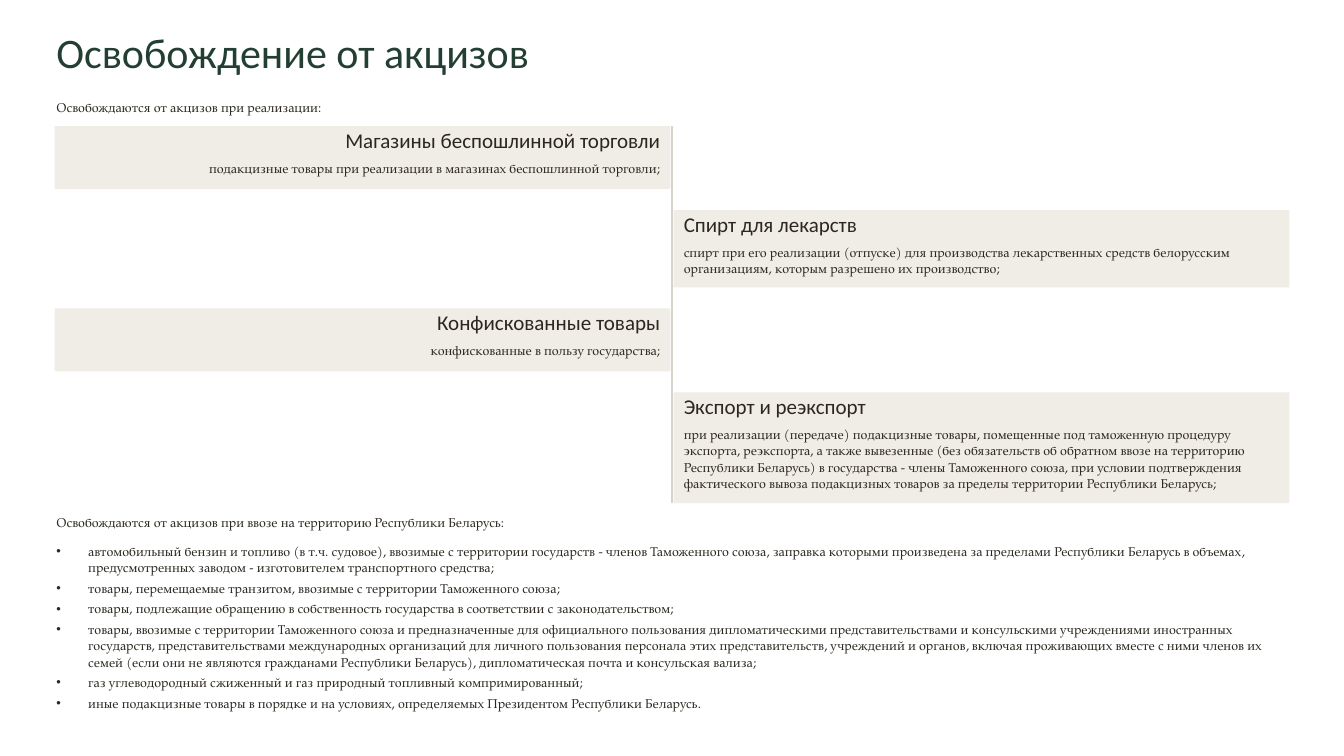
from lxml.etree import SubElement
from pptx import Presentation
from pptx.dml.color import RGBColor
from pptx.enum.shapes import MSO_SHAPE
from pptx.enum.text import MSO_ANCHOR, MSO_AUTO_SIZE, PP_ALIGN
from pptx.oxml.ns import qn
from pptx.util import Inches, Pt

GREEN = RGBColor(0x23, 0x3E, 0x32)
INK = RGBColor(0x2C, 0x28, 0x21)
SAND = RGBColor(0xF0, 0xED, 0xE6)
GREY = RGBColor(0xD6, 0xD3, 0xCC)
HEAD, BODY = "Calibri", "TeX Gyre Pagella"

TITLE = "Освобождение от акцизов"
SALES = "Освобождаются от акцизов при реализации:"
IMPORTS = "Освобождаются от акцизов при ввозе на территорию Республики Беларусь:"
CARDS = [
    ("Магазины беспошлинной торговли",
     "подакцизные товары при реализации в магазинах беспошлинной торговли;", 0.75),
    ("Спирт для лекарств",
     "спирт при его реализации (отпуске) для производства лекарственных средств "
     "белорусским организациям, которым разрешено их производство;", 0.92),
    ("Конфискованные товары", "конфискованные в пользу государства;", 0.75),
    ("Экспорт и реэкспорт",
     "при реализации (передаче) подакцизные товары, помещенные под таможенную "
     "процедуру экспорта, реэкспорта, а также вывезенные (без обязательств об "
     "обратном ввозе на территорию Республики Беларусь) в государства - члены "
     "Таможенного союза, при условии подтверждения фактического вывоза "
     "подакцизных товаров за пределы территории Республики Беларусь;", 1.32),
]
ITEMS = [
    "автомобильный бензин и топливо (в т.ч. судовое), ввозимые с территории "
    "государств - членов Таможенного союза, заправка которыми произведена за "
    "пределами Республики Беларусь в объемах, предусмотренных заводом - "
    "изготовителем транспортного средства;",
    "товары, перемещаемые транзитом, ввозимые с территории Таможенного союза;",
    "товары, подлежащие обращению в собственность государства в соответствии с "
    "законодательством;",
    "товары, ввозимые с территории Таможенного союза и предназначенные для "
    "официального пользования дипломатическими представительствами и консульскими "
    "учреждениями иностранных государств, представительствами международных "
    "организаций для личного пользования персонала этих представительств, "
    "учреждений и органов, включая проживающих вместе с ними членов их семей "
    "(если они не являются гражданами Республики Беларусь), дипломатическая почта "
    "и консульская вализа;",
    "газ углеводородный сжиженный и газ природный топливный компримированный;",
    "иные подакцизные товары в порядке и на условиях, определяемых Президентом "
    "Республики Беларусь.",
]


class Deck:
    """Holds the style and the current slide."""

    def __init__(self):
        self.prs = Presentation()
        self.prs.slide_width, self.prs.slide_height = Inches(16), Inches(9)
        self.slide = self.prs.slides.add_slide(self.prs.slide_layouts[1])

    def place(self, shape, at):
        shape.left, shape.top, shape.width, shape.height = map(Inches, at)
        frame = shape.text_frame
        frame.margin_left = frame.margin_top = 0
        frame.margin_right = frame.margin_bottom = 0
        frame.word_wrap = True
        frame.auto_size = MSO_AUTO_SIZE.NONE
        frame.vertical_anchor = MSO_ANCHOR.TOP
        return frame

    def style(self, para, size=11, face=BODY, color=INK, lead=14, align=PP_ALIGN.LEFT):
        para.alignment = align
        para.line_spacing = Pt(lead)
        font = para.font
        font.size, font.name, font.color.rgb = Pt(size), face, color

    def title(self, text, at):
        frame = self.place(self.slide.shapes.title, at)
        frame.text = text
        self.style(frame.paragraphs[0], 36, HEAD, GREEN, 28)

    def text(self, text, at, **look):
        frame = self.place(self.slide.shapes.add_textbox(0, 0, 0, 0), at)
        frame.text = text
        self.style(frame.paragraphs[0], **look)

    def block(self, at, fill, round=None):
        kind = MSO_SHAPE.RECTANGLE if round is None else MSO_SHAPE.ROUNDED_RECTANGLE
        shape = self.slide.shapes.add_shape(kind, *map(Inches, at))
        if round is not None:
            shape.adjustments[0] = round
        shape.shadow.inherit = False
        shape.fill.solid()
        shape.fill.fore_color.rgb = fill
        shape.line.fill.background()

    def card(self, head, body, top, high, left):
        x = 0.65 if left else 8.02
        align = PP_ALIGN.RIGHT if left else PP_ALIGN.LEFT
        self.block((x, top, 7.33, high), SAND, 0.02 if left else None)
        inner = x + 0.12
        self.text(head, (inner, top + 0.12, 7.09, 0.19), size=18, face=HEAD, align=align)
        self.text(body, (inner, top + 0.4, 7.09, high - 0.52), align=align)

    def bullets(self, items, at):
        frame = self.place(self.slide.placeholders[1], at)
        frame.text = "\n".join(items)
        for n, para in enumerate(frame.paragraphs):
            para.space_before = Pt(3.6 if n else 0)
            props = para._p.get_or_add_pPr()
            props.set("marL", str(Inches(0.38)))
            props.set("indent", str(Inches(-0.38)))
            SubElement(props, qn("a:buChar")).set("char", "•")
            self.style(para)


def main():
    deck = Deck()
    deck.title(TITLE, (0.67, 0.53, 14.66, 0.39))
    deck.text(SALES, (0.67, 1.17, 14.66, 0.2))
    deck.block((7.99, 1.5, 0.02, 4.49), GREY, 0.5)
    top = 1.5
    for n, (head, body, high) in enumerate(CARDS):
        deck.card(head, body, top, high, n % 2 == 0)
        top += high + 0.25
    deck.text(IMPORTS, (0.67, 6.12, 14.66, 0.2))
    deck.bullets(ITEMS, (0.67, 6.46, 14.66, 2.02))
    deck.prs.save("out.pptx")


if __name__ == "__main__":
    main()
